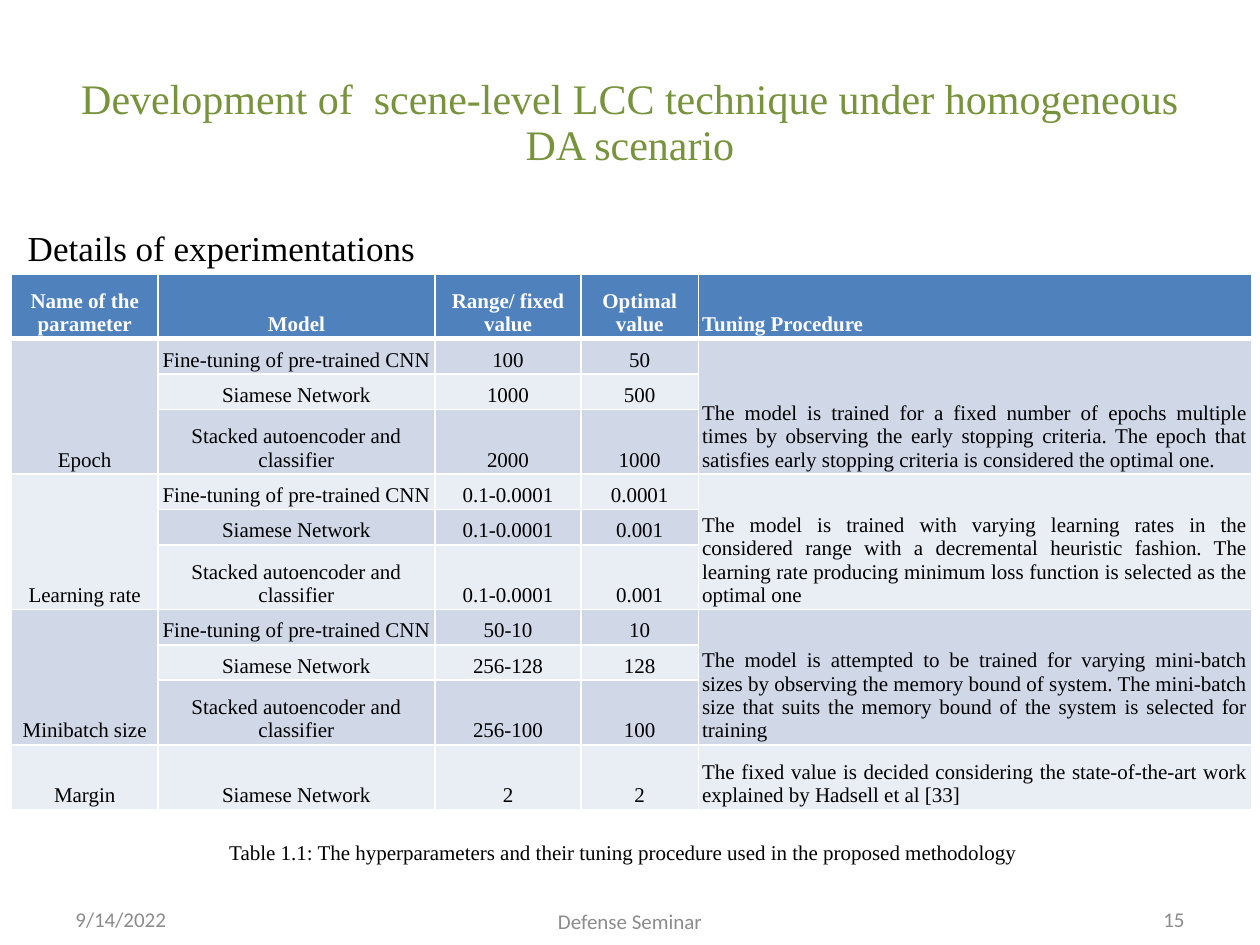
from dataclasses import dataclass

from lxml.etree import SubElement
from pptx import Presentation
from pptx.dml.color import RGBColor
from pptx.enum.text import MSO_ANCHOR, PP_ALIGN
from pptx.oxml.ns import qn
from pptx.util import Pt

SERIF = "Times New Roman"
SANS = "Calibri"
BLACK, WHITE, GREY, GREEN = "000000", "FFFFFF", "8C8C8C", "77933C"
HEADER_FILL = "4F81BD"
BAND_FILLS = ("E9EDF4", "D0D8E8")  # even rows, odd rows


@dataclass
class Style:
    size: float
    font: str
    color: str
    bold: bool = False
    align: PP_ALIGN = PP_ALIGN.LEFT


@dataclass
class Label:
    text: str
    left: float
    top: float
    width: float
    height: float
    style: Style
    anchor: MSO_ANCHOR = MSO_ANCHOR.MIDDLE
    line_spacing: float = 1.0


@dataclass
class Parameter:
    name: str
    models: list[tuple[str, str, str]]  # model, range, optimal value
    procedure: str


FINE_TUNING = "Fine-tuning of pre-trained CNN"
SIAMESE = "Siamese Network"
AUTOENCODER = "Stacked autoencoder and classifier"

HEADERS = ["Name of the parameter", "Model", "Range/ fixed value",
           "Optimal value", "Tuning Procedure"]
PARAMETERS = [
    Parameter("Epoch",
              [(FINE_TUNING, "100", "50"), (SIAMESE, "1000", "500"),
               (AUTOENCODER, "2000", "1000")],
              "The model is trained for a fixed number of epochs multiple times "
              "by observing the early stopping criteria. The epoch that satisfies "
              "early stopping criteria is considered the optimal one."),
    Parameter("Learning rate",
              [(FINE_TUNING, "0.1-0.0001", "0.0001"), (SIAMESE, "0.1-0.0001", "0.001"),
               (AUTOENCODER, "0.1-0.0001", "0.001")],
              "The model is trained with varying learning rates in the considered "
              "range with a decremental heuristic fashion. The learning rate "
              "producing minimum loss function is selected as the optimal one"),
    Parameter("Minibatch size",
              [(FINE_TUNING, "50-10", "10"), (SIAMESE, "256-128", "128"),
               (AUTOENCODER, "256-100", "100")],
              "The model is attempted to be trained for varying mini-batch sizes "
              "by observing the memory bound of system. The mini-batch size that "
              "suits the memory bound of the system is selected for training"),
    Parameter("Margin", [(SIAMESE, "2", "2")],
              "The fixed value is decided considering the state-of-the-art work "
              "explained by Hadsell et al [33]"),
]
COLUMN_WIDTHS = [83.5, 158.4, 83.5, 67, 316]
SHORT_ROW, TALL_ROW = 20.2, 37

LABELS = [
    Label("Development of  scene-level LCC technique under homogeneous DA scenario",
          36, 30, 648, 81.5, Style(24, SERIF, GREEN, align=PP_ALIGN.CENTER),
          line_spacing=0.9),
    Label("Details of experimentations", 8.8, 126, 319, 31.5,
          Style(20, SERIF, BLACK), MSO_ANCHOR.TOP),
    Label("Table 1.1: The hyperparameters and their tuning procedure used in the "
          "proposed methodology", 92, 476, 528.5, 21.8,
          Style(12, SERIF, BLACK, align=PP_ALIGN.CENTER), MSO_ANCHOR.TOP),
    Label("9/14/2022", 36, 510.6, 168, 28.8, Style(12, SANS, GREY)),
    Label("Defense Seminar", 246, 512, 228, 28.8,
          Style(12, SANS, GREY, align=PP_ALIGN.CENTER)),
    Label("15", 516, 510.6, 168, 28.8, Style(12, SANS, GREY, align=PP_ALIGN.RIGHT)),
]


def rgb(color: str) -> RGBColor:
    return RGBColor.from_string(color)


def write(frame, text: str, style: Style) -> None:
    frame.text = text
    para = frame.paragraphs[0]
    para.alignment = style.align
    for span in para.runs:
        span.font.size = Pt(style.size)
        span.font.name = style.font
        span.font.bold = style.bold
        span.font.color.rgb = rgb(style.color)


def add_label(page, label: Label) -> None:
    box = page.shapes.add_textbox(Pt(label.left), Pt(label.top),
                                  Pt(label.width), Pt(label.height))
    frame = box.text_frame
    frame.word_wrap = True
    frame.vertical_anchor = label.anchor
    write(frame, label.text, label.style)
    frame.paragraphs[0].line_spacing = label.line_spacing


def add_borders(cell, top: float, bottom: float) -> None:
    properties = cell._tc.get_or_add_tcPr()
    for side, width in (("L", 1), ("R", 1), ("T", top), ("B", bottom)):
        line = SubElement(properties, qn(f"a:ln{side}"), w=str(Pt(width)))
        fill = SubElement(line, qn("a:solidFill"))
        SubElement(fill, qn("a:srgbClr"), val=WHITE)


def format_cell(cell, row: int) -> None:
    cell.margin_left = cell.margin_right = Pt(2.2)
    cell.margin_top = cell.margin_bottom = Pt(1.4)
    cell.vertical_anchor = MSO_ANCHOR.BOTTOM
    # The rule under the header is thicker than the rest
    add_borders(cell, top=3 if row == 1 else 1, bottom=3 if row == 0 else 1)
    cell.fill.solid()
    cell.fill.fore_color.rgb = rgb(BAND_FILLS[row % 2] if row else HEADER_FILL)


def fill_cell(table, row: int, column: int, text: str) -> None:
    is_header = row == 0
    align = PP_ALIGN.JUSTIFY if column == len(HEADERS) - 1 else PP_ALIGN.CENTER
    style = Style(12, SERIF, WHITE if is_header else BLACK, is_header, align)
    write(table.cell(row, column).text_frame, text, style)


def add_parameter_table(page) -> None:
    heights = [TALL_ROW]
    for parameter in PARAMETERS:
        heights += [SHORT_ROW] * (len(parameter.models) - 1) + [TALL_ROW]
    table = page.shapes.add_table(len(heights), len(HEADERS), Pt(6.7), Pt(156.6),
                                  Pt(sum(COLUMN_WIDTHS)), Pt(sum(heights))).table
    for column, width in zip(table.columns, COLUMN_WIDTHS):
        column.width = Pt(width)
    for index, (row, height) in enumerate(zip(table.rows, heights)):
        row.height = Pt(height)
        for cell in row.cells:
            format_cell(cell, index)

    for column, header in enumerate(HEADERS):
        fill_cell(table, 0, column, header)

    # Each parameter spans the rows of its models
    first = 1
    last_column = len(HEADERS) - 1
    for parameter in PARAMETERS:
        last = first + len(parameter.models) - 1
        for column, text in ((0, parameter.name), (last_column, parameter.procedure)):
            if last > first:
                table.cell(first, column).merge(table.cell(last, column))
            fill_cell(table, first, column, text)
        for row, values in enumerate(parameter.models, first):
            for column, value in enumerate(values, 1):
                fill_cell(table, row, column, value)
        first = last + 1


def main() -> None:
    deck = Presentation()
    deck.slide_width, deck.slide_height = Pt(720), Pt(540)
    page = deck.slides.add_slide(deck.slide_layouts[6])

    # Title, subtitle, caption and footer
    for label in LABELS:
        add_label(page, label)

    # Hyperparameter table
    add_parameter_table(page)

    deck.save("out.pptx")


if __name__ == "__main__":
    main()
